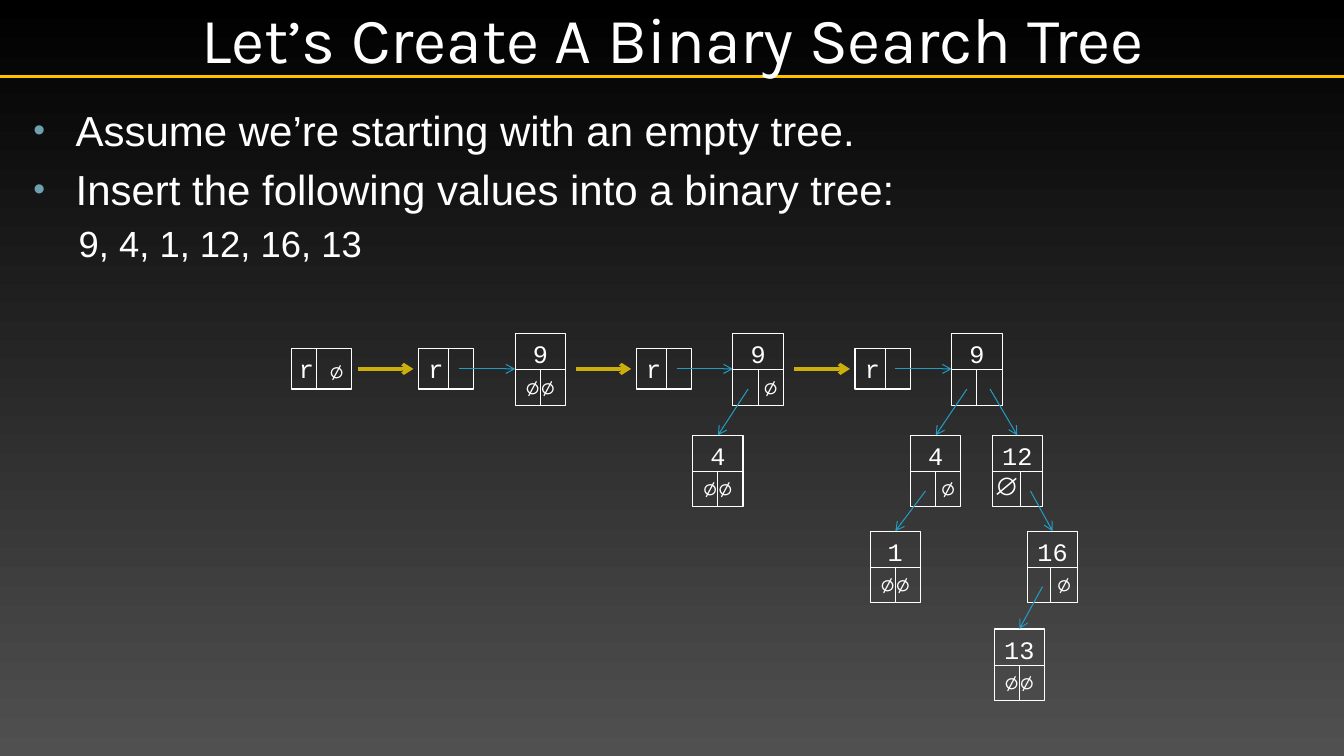
from dataclasses import dataclass
from typing import Optional

from lxml.etree import SubElement
from pptx import Presentation
from pptx.dml.color import RGBColor
from pptx.enum.shapes import MSO_CONNECTOR as Conn, MSO_SHAPE as Shape
from pptx.enum.text import MSO_ANCHOR as Anchor, MSO_AUTO_SIZE as AutoSize, PP_ALIGN as Align
from pptx.oxml.ns import qn
from pptx.util import Inches, Pt

COLORS = {
    "text": "FFFFFF",
    "rule": "FFC000",
    "bullet": "6EA0B0",
    "pointer": "239BC2",
    "step": "CCAF0A",
    "bg_top": "000000",
    "bg_bottom": "505050",
}
BODY, CODE, TITLE = "Arial", "Courier New", "Karla"
NULL = "∅"

NODE_W, NODE_H, SPLIT_Y = 0.5, 0.71, 0.36
ROOT_Y, ROOT_W, ROOT_H, MID_Y = 3.46, 0.55, 0.4, 3.66
ROW_TOPS = [3.31, 4.32, 5.27, 6.24]


@dataclass
class Node:
    """A tree node; dx is its distance from the parent's left edge."""
    value: int
    dx: float
    left: Optional["Node"] = None
    right: Optional["Node"] = None
    divider: float = 0.25


@dataclass
class Stage:
    x: float
    tree: Node


@dataclass
class BodyLine:
    text: str
    size: float
    level: int
    margin: float
    indent: float


STAGES = [
    Stage(4.15, Node(9, 0.96)),
    Stage(6.31, Node(9, 0.96, left=Node(4, -0.4))),
    Stage(8.48, Node(
        9, 0.96,
        left=Node(4, -0.41, left=Node(1, -0.4)),
        right=Node(12, 0.4, divider=0.28,
                   right=Node(16, 0.35, divider=0.23, left=Node(13, -0.33))),
    )),
]
BODY_LINES = [
    BodyLine("Assume we’re starting with an empty tree.", 30, 0, 0.46, -0.42),
    BodyLine("Insert the following values into a binary tree:", 30, 0, 0.46, -0.42),
    BodyLine("9, 4, 1, 12, 16, 13", 26, 1, 0.79, -0.3),
]


def rgb(name: str) -> RGBColor:
    return RGBColor.from_string(COLORS[name])


def add_run(p, text: str, font: str, size: float) -> None:
    r = p.add_run()
    r.text = text
    r.font.name, r.font.size = font, Pt(size)
    r.font.color.rgb = rgb("text")


def set_margin(p, margin: float, indent: float = 0) -> None:
    pPr = p._p.get_or_add_pPr()
    pPr.set("marL", str(Inches(margin)))
    pPr.set("indent", str(Inches(indent)))


def add_line(s, x1: float, y1: float, x2: float, y2: float,
             color: str = "text", width: float = 0.75, arrow: bool = False):
    c = s.shapes.add_connector(Conn.STRAIGHT, *map(Inches, (x1, y1, x2, y2)))
    c.line.color.rgb, c.line.width = rgb(color), Pt(width)
    if arrow:
        SubElement(c.line._get_or_add_ln(), qn("a:tailEnd"), type="arrow")
    SubElement(c._element.spPr, qn("a:effectLst"))
    return c


def add_box(s, x: float, y: float, w: float, h: float, text: str,
            align: Align = Align.CENTER, inset: float = 0):
    """Draw an outlined box and return its text frame."""
    sp = s.shapes.add_shape(Shape.RECTANGLE, *map(Inches, (x, y, w, h)))
    sp.shadow.inherit = False
    sp.fill.background()
    sp.line.color.rgb, sp.line.width = rgb("text"), Pt(0.75)
    tf = sp.text_frame
    tf.word_wrap, tf.vertical_anchor = True, Anchor.TOP
    tf.margin_left, tf.margin_right = Inches(inset), 0
    p = tf.paragraphs[0]
    p.alignment = align
    add_run(p, text, CODE, 18)
    return tf


def add_nulls(tf, node: Node) -> None:
    """Mark each missing child of the node in its lower cells."""
    if node.left and node.right:
        return
    p = tf.add_paragraph()
    p.alignment = Align.CENTER
    if node.left:
        set_margin(p, node.divider)
        add_run(p, NULL, CODE, 18)
    elif node.right:
        p.alignment = Align.LEFT
        set_margin(p, 0.02)
        add_run(p, NULL, BODY, 18)
    else:
        add_run(p, NULL * 2, CODE, 18)


def add_tree(s, node: Node, parent_x: float, row: int = 0) -> None:
    x, y = parent_x + node.dx, ROW_TOPS[row]
    split, divider = y + SPLIT_Y, x + node.divider
    add_nulls(add_box(s, x, y, NODE_W, NODE_H, str(node.value)), node)
    add_line(s, x, split, x + NODE_W, split)
    add_line(s, divider, split, divider, y + NODE_H)
    for child, start in ((node.left, 0.15), (node.right, 0.38)):
        if child:
            add_tree(s, child, x, row + 1)
            add_line(s, x + start, y + 0.55, x + child.dx + NODE_W / 2,
                     ROW_TOPS[row + 1], "pointer", arrow=True)


def add_stage(s, stage: Stage) -> None:
    x = stage.x
    add_line(s, x - 0.6, MID_Y, x - 0.05, MID_Y, "step", 2.5, arrow=True)
    add_box(s, x, ROOT_Y, ROOT_W, ROOT_H, "r", Align.LEFT, 0.1)
    add_line(s, x + 0.3, ROOT_Y, x + 0.3, ROOT_Y + ROOT_H)
    add_line(s, x + 0.4, MID_Y, x + stage.tree.dx, MID_Y, "pointer", arrow=True)
    add_tree(s, stage.tree, x)


def place(sp, x: float, y: float, w: float, h: float):
    sp.left, sp.top, sp.width, sp.height = map(Inches, (x, y, w, h))
    tf = sp.text_frame
    tf.auto_size, tf.word_wrap = AutoSize.NONE, True
    return tf


def fill_title(s) -> None:
    tf = place(s.shapes.title, 1.67, 0, 10, 0.75)
    tf.margin_left = tf.margin_right = Inches(0.05)
    tf.vertical_anchor = Anchor.MIDDLE
    p = tf.paragraphs[0]
    p.alignment = Align.CENTER
    add_run(p, "Let’s Create A Binary Search Tree", TITLE, 46)


def fill_body(s) -> None:
    tf = place(s.placeholders[1], 0.19, 0.99, 11.36, 5.88)
    for i, line in enumerate(BODY_LINES):
        p = tf.add_paragraph() if i else tf.paragraphs[0]
        p.level = line.level
        if i == 0:
            p.space_before = Pt(0)
        set_margin(p, line.margin, line.indent)
        pPr = p._p.get_or_add_pPr()
        if line.level:
            SubElement(pPr, qn("a:buNone"))
        else:
            clr = SubElement(pPr, qn("a:buClr"))
            SubElement(clr, qn("a:srgbClr"), val=COLORS["bullet"])
            SubElement(pPr, qn("a:buSzPct"), val="80000")
            SubElement(pPr, qn("a:buFont"), typeface=BODY)
            SubElement(pPr, qn("a:buChar"), char="•")
        add_run(p, line.text, BODY, line.size)


def main() -> None:
    prs = Presentation()
    prs.slide_width, prs.slide_height = Inches(13.33), Inches(7.5)
    s = prs.slides.add_slide(prs.slide_layouts[1])
    bg = s.background.fill
    bg.gradient()
    bg.gradient_angle = 270
    for stop, name in zip(bg.gradient_stops, ("bg_top", "bg_bottom")):
        stop.color.rgb = rgb(name)
    rule = add_line(s, 0, 0.76, 13.33, 0.76, "rule", 2.5)
    s.shapes._spTree.insert(2, rule._element)  # behind the title
    fill_title(s)
    fill_body(s)
    add_box(s, 2.89, ROOT_Y, 0.6, ROOT_H, f"r {NULL}")
    add_line(s, 3.14, ROOT_Y, 3.14, ROOT_Y + ROOT_H)
    for stage in STAGES:
        add_stage(s, stage)
    prs.save("out.pptx")


if __name__ == "__main__":
    main()
